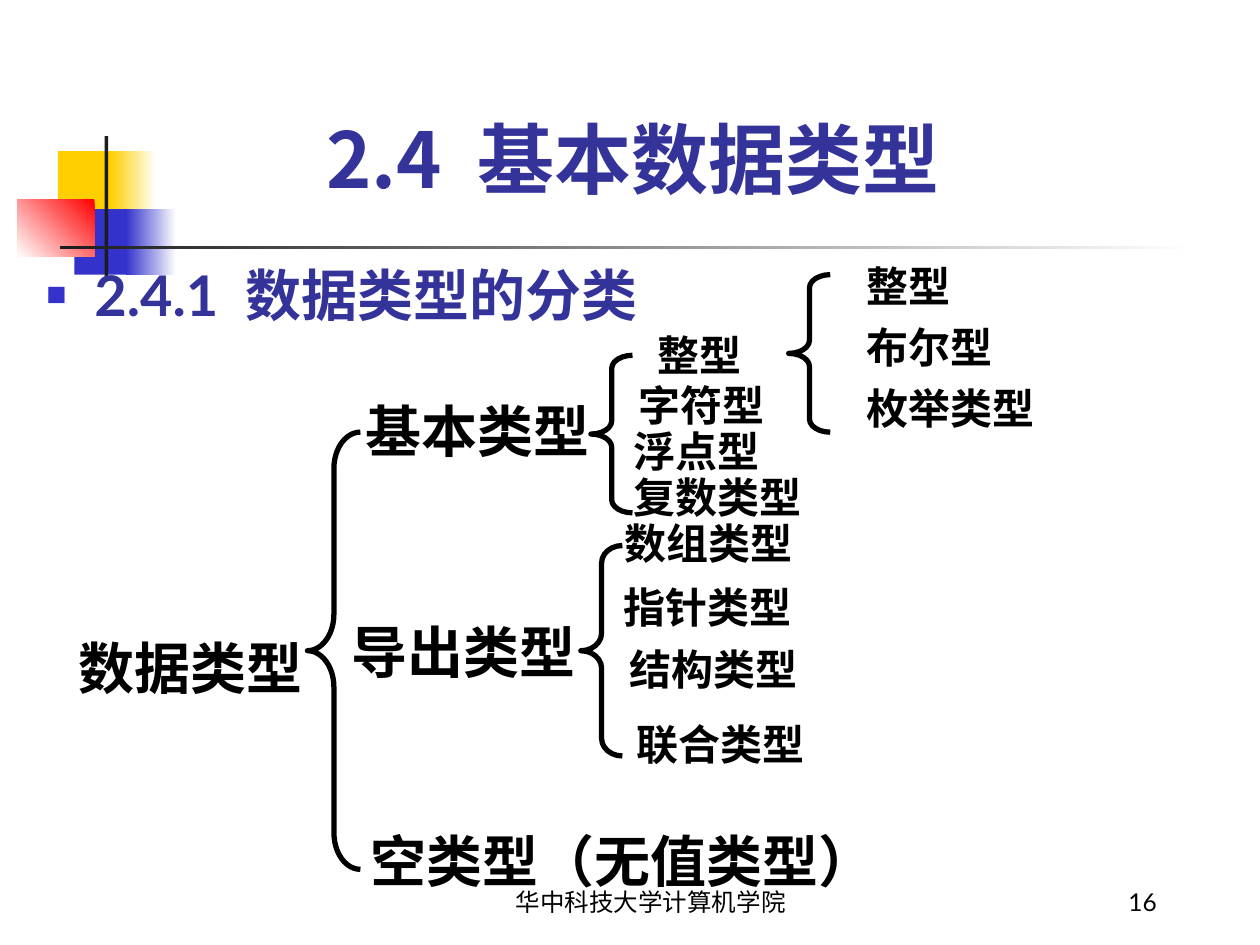
from lxml import etree
from pptx import Presentation
from pptx.dml.color import RGBColor
from pptx.enum.shapes import MSO_SHAPE
from pptx.enum.text import MSO_ANCHOR, MSO_AUTO_SIZE, PP_ALIGN
from pptx.oxml.ns import qn
from pptx.util import Inches, Pt

RECT, BRACE = MSO_SHAPE.RECTANGLE, MSO_SHAPE.LEFT_BRACE
LEFT, CENTER, RIGHT = PP_ALIGN.LEFT, PP_ALIGN.CENTER, PP_ALIGN.RIGHT
TOP, MIDDLE, BOTTOM = MSO_ANCHOR.TOP, MSO_ANCHOR.MIDDLE, MSO_ANCHOR.BOTTOM
FIT, FIXED = MSO_AUTO_SIZE.SHAPE_TO_FIT_TEXT, MSO_AUTO_SIZE.NONE
NOTO, SERIF, SANS, ARIAL = "Noto Sans CJK SC", "Times New Roman", "Lato", "Arial"
COLORS = {"black": "000000", "title": "333399", "blue": "3333CC", "yellow": "FFCF01",
          "red": "FF0000", "dark": "1C1C1C", "white": "FFFFFF"}

prs = Presentation()
prs.slide_width, prs.slide_height = Inches(10), Inches(7.5)
s = prs.slides.add_slide(prs.slide_layouts[6])
# The slide is a grid of 100 columns by 75 rows
CELL = prs.slide_width / 100


def grid(*cells):
    return [round(c * CELL) for c in cells]


def add_text(text, x, y, w, h, size=24, font=NOTO, color="black", bold=True,
             align=LEFT, anchor=TOP, before=0, wrap=False):
    sp = s.shapes.add_textbox(*grid(x, y, w, h))
    tf = sp.text_frame
    tf.word_wrap = wrap
    tf.auto_size = FIXED if wrap else FIT
    tf.vertical_anchor = anchor
    for i, line in enumerate(text.split("\n")):
        p = tf.paragraphs[0] if i == 0 else tf.add_paragraph()
        p.alignment, p.space_before = align, Pt(before)
        r = p.add_run()
        r.text = line
        r.font.size, r.font.bold, r.font.name = Pt(size), bold, font
        r.font.color.rgb = RGBColor.from_string(COLORS[color])
        etree.SubElement(r.font._element, qn("a:ea"), typeface=NOTO)
    return sp


# Corner ornament and title rule: start and end colour, gradient angle
for x, y, w, h, start, end, angle in [
    (4.6, 12, 4.8, 5.2, "yellow", None, 0),
    (8.8, 12, 3.6, 5.2, "white", "yellow", 180),
    (5.9, 16.6, 4.6, 5.2, "blue", None, 0),
    (10, 16.6, 4, 5.2, "white", "blue", 180),
    (1.4, 15.8, 6.1, 4.6, "red", "white", 225),
    (8.3, 10.8, 0.3, 11.5, "dark", None, 0),
    (4.8, 19.5, 90, 0.3, "white", "dark", 180),
]:
    sp = s.shapes.add_shape(RECT, *grid(x, y, w, h))
    sp.shadow.inherit = False
    sp.line.fill.background()
    if end:
        sp.fill.gradient()
        sp.fill.gradient_angle = angle
        for stop, name in zip(sp.fill.gradient_stops, (start, end)):
            stop.color.rgb = RGBColor.from_string(COLORS[name])
    else:
        sp.fill.solid()
        sp.fill.fore_color.rgb = RGBColor.from_string(COLORS[start])

# Title and bulleted heading
add_text("2.4  基本数据类型", 2.7, 6, 95.1, 10.7, size=44, color="title",
         align=CENTER, anchor=BOTTOM, wrap=True)
sp = add_text("2.4.1  数据类型的分类", 2.7, 20.2, 95.2, 45, size=32, font=SANS,
              color="title", before=8, wrap=True)
pPr = sp.text_frame.paragraphs[0]._p.get_or_add_pPr()
indent = grid(3.8)[0]
pPr.set("marL", str(indent))
pPr.set("indent", str(-indent))
clr = etree.SubElement(pPr, qn("a:buClr"))
etree.SubElement(clr, qn("a:srgbClr"), val=COLORS["blue"])
etree.SubElement(pPr, qn("a:buSzPct"), val="60000")
etree.SubElement(pPr, qn("a:buFont"), typeface=ARIAL)
etree.SubElement(pPr, qn("a:buChar"), char="■")

# Main branches of the type tree
for text, x, y, w, align in [
    ("数据类型", 5.2, 49.8, 19.8, CENTER),
    ("基本类型", 28, 31, 19.8, LEFT),
    ("导出类型", 26.9, 48.5, 19.8, LEFT),
    ("空类型（无值类型）", 28.4, 65.1, 43, LEFT),
]:
    add_text(text, x, y, w, 6.4, size=32, font=SERIF, align=align, before=8)

# Leaves of the type tree
for text, x, y, w, font in [
    ("整型", 51.2, 25.7, 11.7, NOTO),
    ("字符型", 49.7, 29.6, 12.7, NOTO),
    ("浮点型", 49.3, 33.3, 12, SERIF),
    ("数组类型", 48.6, 40.6, 15.3, SERIF),
    ("指针类型", 48.5, 45.7, 15.3, SERIF),
    ("结构类型", 49, 50.6, 16.1, NOTO),
    ("联合类型", 49.5, 56.5, 16.8, SERIF),
]:
    add_text(text, x, y, w, 5, font=font, before=6)
add_text("复数类型", 49.3, 36.9, 16.1, 5, font=ARIAL, anchor=MIDDLE)
add_text("整型\n布尔型\n枚举类型", 67.8, 20.2, 16.1, 14.7, before=6)

# Braces: each curve takes a twelfth of the height
for x, y, w, h in [(24.4, 34.3, 4.2, 34.7), (46.1, 43.3, 3.3, 16.7),
                   (46.9, 28.2, 3.3, 12.5), (62.6, 21.8, 3.3, 12.5)]:
    sp = s.shapes.add_shape(BRACE, *grid(x, y, w, h))
    sp.shadow.inherit = False
    sp.fill.background()
    sp.adjustments[0] = h / 12 / w
    sp.line.color.rgb = RGBColor.from_string(COLORS["black"])
    sp.line.width = Pt(3)

# Footer and page number
for text, x, w, align in [("华中科技大学计算机学院", 35.8, 31.7, CENTER),
                          ("16", 72, 20.8, RIGHT)]:
    add_text(text, x, 68.2, w, 5, size=14, font=SANS, bold=False,
             align=align, anchor=BOTTOM, wrap=True)

prs.save("out.pptx")
